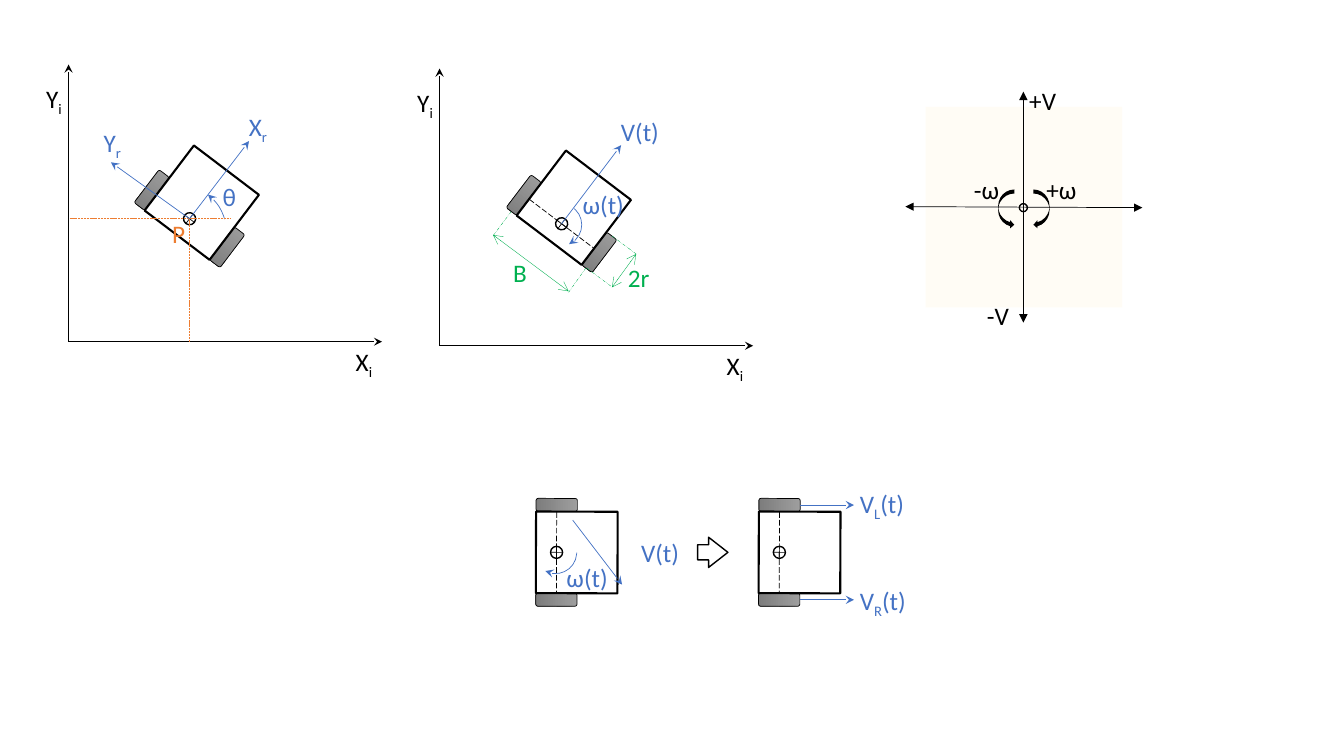
"""Draw the pose, velocity and wheel diagrams of a differential drive robot."""
from itertools import product
from math import cos, radians, sin
from typing import Any, NamedTuple

from lxml.etree import SubElement
from pptx import Presentation
from pptx.dml.color import RGBColor
from pptx.enum.dml import MSO_LINE_DASH_STYLE as Dash
from pptx.enum.shapes import MSO_CONNECTOR as Connector, MSO_SHAPE as Shape
from pptx.oxml.ns import qn
from pptx.util import Inches, Pt

COLUMNS, ROWS, CELL = 13.33, 7.5, Inches(1)
COLORS = {"black": "000000", "blue": "4472C4", "orange": "ED7D31", "green": "00B050",
          "white": "FFFFFF", "wheel_top": "9E9E9E", "wheel_bottom": "7D7D7D", "tile": "FFE699"}
FONT_FORMAT = {"name": "Calibri", "size": Pt(18)}
LABEL_ROWS, TILE_OPACITY, SUBSCRIPT = 0.4, "9000", "-24000"
WHEEL_SIDES, WHEEL_SIZE = (-0.47, 0.47), (0.13, 0.41)
TOP, LEFT, RIGHT = 0, 1, 3

class Point(NamedTuple):
    column: float
    row: float

class Style(NamedTuple):
    color: str = "black"
    width: float = 0.5
    dash: Any = None
    head: str = ""
    tail: str = ""

class Label(NamedTuple):
    column: float
    row: float
    columns: float
    text: str
    color: str = "black"

class Figure(NamedTuple):
    kind: Any
    at: tuple
    size: tuple
    style: Any = None
    fill: str = ""
    rotation: float = 0
    flipped: bool = False
    adjustments: tuple = ()

class Robot(NamedTuple):
    center: Point
    heading: float
    has_axle: bool = True

    def locate(self, forward: float, side: float) -> Point:
        angle = radians(self.heading)
        return Point(self.center.column + forward * sin(angle) + side * cos(angle),
                     self.center.row - forward * cos(angle) + side * sin(angle))

PLAIN, OUTLINE, BODY = Style(), Style(width=1), Style(width=1.5)
AXIS, AXLE = Style(tail="stealth"), Style(dash=Dash.LONG_DASH)
VECTOR, TURN = Style("blue", tail="stealth"), Style("blue", head="stealth")
PROJECTION = Style("orange", dash=Dash.SQUARE_DOT)
EXTENSION = Style("green", 0.25, Dash.DASH_DOT_DOT)
DIMENSION = Style("green", 0.25, head="arrow", tail="arrow")
SIGNED_AXIS = Style(head="triangle", tail="triangle")

ORIGINS = (Point(0.68, 3.39), Point(4.36, 3.43))
ROBOTS = (Robot(Point(1.88, 2.17), 37.2, False), Robot(Point(5.57, 2.22), 37.2),
          Robot(Point(5.52, 5.48), 90.2), Robot(Point(7.73, 5.48), 90.2))
STROKES = {
    PROJECTION: ((1.88, 3.39, 1.88, 2.17), (0.69, 2.17, 2.28, 2.17)),
    VECTOR: ((1.88, 2.17, 1.1, 1.61), (1.88, 2.17, 2.47, 1.4),
             (5.57, 2.22, 6.16, 1.44), (5.68, 5.16, 6.17, 5.8)),
    EXTENSION: ((6.07, 2.34, 6.31, 2.52), (5.82, 2.66, 6.06, 2.84),
                (5.07, 2.1, 4.89, 2.34), (5.81, 2.66, 5.64, 2.9)),
    DIMENSION: ((6.31, 2.52, 6.07, 2.85), (5.64, 2.89, 4.89, 2.33)),
    SIGNED_AXIS: ((8.98, 2.05, 11.33, 2.06), (10.15, 0.91, 10.15, 3.2)),
}
TILES = tuple(Figure(Shape.RECTANGLE, (9.18 + 0.98 * column, 1.06 + row), (0.97, 0.99), fill="tile")
              for column, row in product(range(2), repeat=2))
BEND = (0.25, 0.5, 0.25)
FIGURES = (
    Figure(Shape.ARC, (1.25, 1.82), (1, 1), TURN, "", 38.8, False, (162, 182.54)),
    Figure(Shape.ARC, (5.35, 2.02), (0.42, 0.42), TURN, "", 74.6, True, (113.09, 182.54)),
    Figure(Shape.ARC, (5.3, 5.27), (0.42, 0.42), TURN, "", 124.6, True, (111.48, 182.54)),
    Figure(Shape.RIGHT_ARROW, (6.92, 5.33), (0.3, 0.3), OUTLINE, "white", adjustments=(0.5, 0.64)),
    Figure(Shape.OVAL, (10.11, 2.02), (0.08, 0.08), OUTLINE),
    Figure(Shape.CURVED_RIGHT_ARROW, (9.9, 1.88), (0.16, 0.39), fill="black", adjustments=BEND),
    Figure(Shape.CURVED_LEFT_ARROW, (10.25, 1.88), (0.16, 0.39), fill="black", adjustments=BEND),
)
LABELS = (
    Label(1.61, 2.12, 0.33, "P", "orange"), Label(0.93, 1.21, 0.37, "Y_r", "blue"),
    Label(2.37, 1.06, 0.39, "X_r", "blue"), Label(2.11, 1.75, 0.34, "θ", "blue"),
    Label(6.06, 1.1, 0.58, "V(t)", "blue"), Label(5.68, 1.83, 0.62, "ω(t)", "blue"),
    Label(6.13, 2.55, 0.42, "2r", "green"), Label(4.99, 2.5, 0.34, "B", "green"),
    Label(6.26, 5.28, 0.61, "V(t)", "blue"), Label(5.52, 5.53, 0.62, "ω(t)", "blue"),
    Label(8.43, 4.8, 0.65, "V_L_(t)", "blue"), Label(8.43, 5.76, 0.68, "V_R_(t)", "blue"),
    Label(10.11, 0.8, 0.47, "+V"), Label(10.28, 1.68, 0.5, "+ω"),
    Label(9.56, 1.68, 0.45, "-ω"), Label(9.69, 2.93, 0.42, "-V"),
)

def grid(*cells: float) -> list[int]:
    return [round(cell * CELL) for cell in cells]

def rgb(name: str) -> RGBColor:
    return RGBColor.from_string(COLORS[name])

def apply(target: Any, values: dict[str, Any]) -> None:
    for name, value in values.items():
        setattr(target, name, value)

def style_line(shape: Any, style: Style) -> None:
    shape.line.color.rgb = rgb(style.color)
    apply(shape.line, {"width": Pt(style.width), "dash_style": style.dash})
    for tag, arrow in (("a:headEnd", style.head), ("a:tailEnd", style.tail)):
        if arrow:
            SubElement(shape._element.spPr.find(qn("a:ln")), qn(tag), type=arrow)

def draw_stroke(slide: Any, ends: tuple, style: Style, begin: tuple = (), end: tuple = ()) -> None:
    connector = slide.shapes.add_connector(Connector.STRAIGHT, *grid(*ends))
    if begin:
        connector.begin_connect(*begin)
    if end:
        connector.end_connect(*end)
    apply(connector, dict(zip(("begin_x", "begin_y", "end_x", "end_y"), grid(*ends))))
    style_line(connector, style)
    SubElement(connector._element.spPr, qn("a:effectLst"))

def draw_figure(slide: Any, figure: Figure) -> Any:
    shape = slide.shapes.add_shape(figure.kind, *grid(*figure.at, *figure.size))
    apply(shape, {"rotation": figure.rotation})
    apply(shape.shadow, {"inherit": False})
    if figure.flipped:
        shape._element.spPr.find(qn("a:xfrm")).set("flipH", "1")
    for index, value in enumerate(figure.adjustments):
        shape.adjustments[index] = value
    if figure.fill:
        shape.fill.solid()
        shape.fill.fore_color.rgb = rgb(figure.fill)
    else:
        shape.fill.background()
    if figure.fill == "tile":
        SubElement(shape._element.spPr.find(qn("a:solidFill"))[0], qn("a:alpha"), val=TILE_OPACITY)
    if figure.style:
        style_line(shape, figure.style)
    else:
        shape.line.fill.background()
    return shape

def draw_label(slide: Any, label: Label) -> None:
    box = slide.shapes.add_textbox(*grid(label.column, label.row, label.columns, LABEL_ROWS))
    box.text_frame.word_wrap = False
    for index, text in enumerate(label.text.split("_")):
        run = box.text_frame.paragraphs[0].add_run()
        apply(run, {"text": text})
        apply(run.font, FONT_FORMAT)
        run.font.color.rgb = rgb(label.color)
        if index == 1:
            run._r.get_or_add_rPr().set("baseline", SUBSCRIPT)

def draw_part(slide: Any, robot: Robot, kind: Any, center: Point, size: tuple, style: Style) -> Any:
    corner = (center.column - size[0] / 2, center.row - size[1] / 2)
    return draw_figure(slide, Figure(kind, corner, size, style, rotation=robot.heading))

def draw_robot(slide: Any, robot: Robot) -> list[Any]:
    wheels = [draw_part(slide, robot, Shape.ROUNDED_RECTANGLE, robot.locate(0, side), WHEEL_SIZE, PLAIN)
              for side in WHEEL_SIDES]
    for wheel in wheels:
        wheel.fill.gradient()
        wheel.fill.gradient_angle = 270
        for stop, name in zip(wheel.fill.gradient_stops, ("wheel_top", "wheel_bottom")):
            stop.color.rgb = rgb(name)
    draw_part(slide, robot, Shape.RECTANGLE, robot.locate(0.2, 0), (0.81, 0.81), BODY)
    draw_part(slide, robot, Shape.OVAL, robot.center, (0.12, 0.12), OUTLINE)
    for forward, side in ((0.06, 0), (0, 0.06)):
        draw_stroke(slide, robot.locate(forward, side) + robot.locate(-forward, -side), PLAIN)
    if robot.has_axle:
        ends = robot.locate(0, -0.4) + robot.locate(0, 0.4)
        draw_stroke(slide, ends, AXLE, (wheels[0], RIGHT), (wheels[1], LEFT))
    return wheels

def draw_axes(slide: Any, column: float, row: float) -> None:
    for end in ((column, row - 2.75), (column + 3.11, row)):
        draw_stroke(slide, (column, row, *end), AXIS)
    draw_label(slide, Label(column - 0.32, row - 2.61, 0.36, "Y_i"))
    draw_label(slide, Label(column + 2.75, row, 0.37, "X_i"))

def main() -> None:
    presentation = Presentation()
    apply(presentation, dict(zip(("slide_width", "slide_height"), grid(COLUMNS, ROWS))))
    slide = presentation.slides.add_slide(presentation.slide_layouts[6])
    for origin in ORIGINS:
        draw_axes(slide, *origin)
    wheels = [draw_robot(slide, robot) for robot in ROBOTS]
    for wheel, side in zip(wheels[-1], WHEEL_SIDES):
        start = ROBOTS[-1].locate(WHEEL_SIZE[1] / 2, side)
        draw_stroke(slide, (*start, 8.47, start.row), VECTOR, (wheel, TOP))
    for figure in TILES + FIGURES:
        draw_figure(slide, figure)
    for style, ends in ((style, ends) for style, group in STROKES.items() for ends in group):
        draw_stroke(slide, ends, style)
    for label in LABELS:
        draw_label(slide, label)
    presentation.save("out.pptx")

if __name__ == "__main__":
    main()
